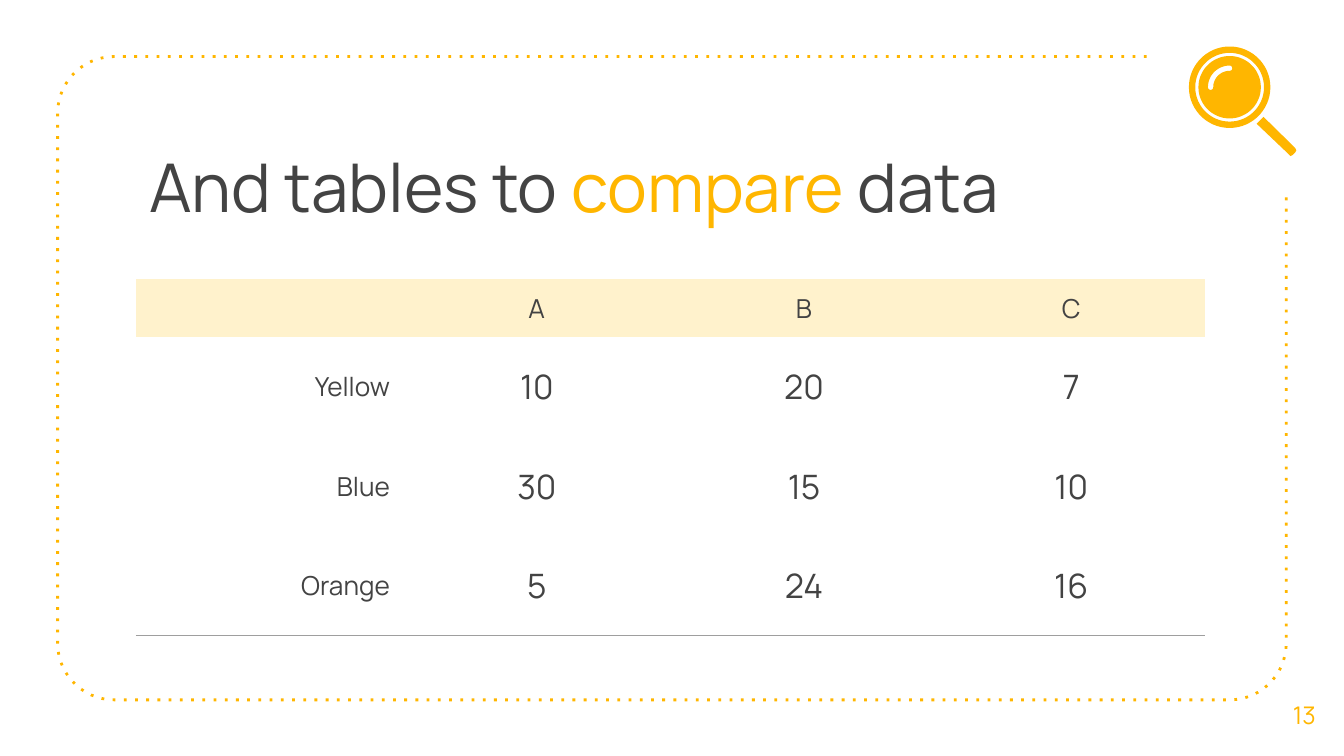
from dataclasses import dataclass
from math import cos, radians, sin

from lxml.etree import SubElement
from pptx import Presentation
from pptx.dml.color import RGBColor
from pptx.enum.dml import MSO_LINE
from pptx.enum.text import MSO_ANCHOR, PP_ALIGN
from pptx.oxml.ns import qn
from pptx.util import Cm, Pt

FONT = "Manrope"
COLORS = {"accent": "FFB600", "pale": "FFF2CC", "text": "434343", "rule": "9E9E9E"}

Point = tuple[float, float]
Contour = list[Point]


@dataclass
class Run:
    text: str
    color: str


@dataclass
class Label:
    left: float
    top: float
    width: float
    height: float
    runs: list[Run]
    size: float
    align: PP_ALIGN = PP_ALIGN.LEFT
    anchor: MSO_ANCHOR = MSO_ANCHOR.TOP


@dataclass
class Row:
    cells: list[str]
    height: float
    size: float
    fill: str | None = None
    rule: str | None = None


def rgb(name: str) -> RGBColor:
    return RGBColor.from_string(COLORS[name])


def arc(x: float, y: float, radius: float, start: int, end: int) -> Contour:
    steps = max(8, abs(end - start) // 6)
    angles = [radians(start + (end - start) * i / steps) for i in range(steps + 1)]
    return [(x + radius * cos(a), y + radius * sin(a)) for a in angles]


def add_outline(shapes, contours: list[Contour], close: bool = True):
    scaled = [[(Cm(x), Cm(y)) for x, y in contour] for contour in contours]
    builder = shapes.build_freeform(*scaled[0][0])
    for i, points in enumerate(scaled):
        if i:
            builder.move_to(*points[0])
        builder.add_line_segments(points[1:], close=close)
    sp = builder.convert_to_shape()
    sp.shadow.inherit = False
    return sp


def add_frame(shapes) -> None:
    left, right, top, bottom, radius = 1.09, 24.31, 1.07, 13.23, 1.07
    x1, x2 = left + radius, right - radius
    y1, y2 = top + radius, bottom - radius
    points = [
        (21.67, top),
        *arc(x1, y1, radius, 270, 180),
        *arc(x1, y2, radius, 180, 90),
        *arc(x2, y2, radius, 90, 0),
        (right, 3.71),
    ]
    sp = add_outline(shapes, [points], close=False)
    sp.fill.background()
    sp.line.color.rgb = rgb("accent")
    sp.line.width = Pt(1.5)
    sp.line.dash_style = MSO_LINE.ROUND_DOT
    sp._element.spPr.find(".//" + qn("a:prstDash")).set("val", "dot")


def add_magnifier(shapes) -> None:
    x, y = 23.24, 1.65
    glint = [
        *arc(x, y, 0.41, 180, 270),
        *arc(x, y - 0.36, 0.05, 270, 450),
        *arc(x, y, 0.31, 270, 180),
        *arc(x - 0.36, y, 0.05, 0, 180),
    ]
    handle = [
        (23.88, 2.21), (23.75, 2.34), (24.36, 2.92), (24.39, 2.95),
        (24.43, 2.93), (24.48, 2.88), (24.5, 2.84), (24.48, 2.8),
    ]
    parts = [
        [arc(x, y, 0.65, 0, 360), arc(x, y, 0.77, 0, 360)],
        [glint, arc(x, y, 0.59, 0, 360)],
        [handle],
    ]
    group = shapes.add_group_shape()
    for contours in parts:
        sp = add_outline(group.shapes, contours)
        sp.fill.solid()
        sp.fill.fore_color.rgb = rgb("accent")
        sp.line.fill.background()


def add_label(shapes, label: Label) -> None:
    sp = shapes.add_textbox(Cm(label.left), Cm(label.top), Cm(label.width), Cm(label.height))
    tf = sp.text_frame
    tf.word_wrap = True
    tf.vertical_anchor = label.anchor
    tf.margin_left = tf.margin_right = tf.margin_top = tf.margin_bottom = Cm(0.25)
    p = tf.paragraphs[0]
    p.alignment = label.align
    p.font.name = FONT
    p.font.size = Pt(label.size)
    for run in label.runs:
        r = p.add_run()
        r.text = run.text
        r.font.color.rgb = rgb(run.color)


def set_borders(cell, rule: str | None) -> None:
    tcPr = cell._tc.get_or_add_tcPr()
    for i, side in enumerate(("lnL", "lnR", "lnT", "lnB")):
        ln = SubElement(tcPr, qn(f"a:{side}"), w=str(Pt(0.75)))
        tcPr.insert(i, ln)
        if side == "lnB" and rule:
            fill = SubElement(ln, qn("a:solidFill"))
            SubElement(fill, qn("a:srgbClr"), val=COLORS[rule])
        else:
            SubElement(ln, qn("a:noFill"))


def add_grid(shapes, left: float, top: float, column: float, rows: list[Row]) -> None:
    count = len(rows[0].cells)
    height = sum(row.height for row in rows)
    frame = shapes.add_table(len(rows), count, Cm(left), Cm(top), Cm(column * count), Cm(height))
    table = frame.table
    table.first_row = table.horz_banding = False
    for i, row in enumerate(rows):
        table.rows[i].height = Cm(row.height)
        for j, text in enumerate(row.cells):
            cell = table.cell(i, j)
            cell.vertical_anchor = MSO_ANCHOR.MIDDLE
            cell.margin_left = cell.margin_right = Cm(0.25)
            cell.margin_top = cell.margin_bottom = Cm(0.18)
            if row.fill:
                cell.fill.solid()
                cell.fill.fore_color.rgb = rgb(row.fill)
            else:
                cell.fill.background()
            set_borders(cell, row.rule)
            p = cell.text_frame.paragraphs[0]
            p.alignment = PP_ALIGN.CENTER if j else PP_ALIGN.RIGHT
            p.font.name = FONT
            p.font.size = Pt(row.size if j else 14)
            p.font.color.rgb = rgb("text")
            if text:
                p.add_run().text = text


def main() -> None:
    prs = Presentation()
    prs.slide_width, prs.slide_height = Cm(25.4), Cm(14.29)
    s = prs.slides.add_slide(prs.slide_layouts[6])
    add_frame(s.shapes)
    title = [Run("And tables to ", "text"), Run("compare", "accent"), Run(" data", "text")]
    add_label(s.shapes, Label(2.57, 2.49, 19.08, 2.39, title, 36))
    add_grid(s.shapes, 2.57, 5.28, 5.05, [
        Row(["", "A", "B", "C"], 1.09, 14, fill="pale"),
        Row(["Yellow", "10", "20", "7"], 1.88, 18, rule="accent"),
        Row(["Blue", "30", "15", "10"], 1.88, 18, rule="accent"),
        Row(["Orange", "5", "24", "16"], 1.88, 18, rule="rule"),
    ])
    number = [Run("13", "accent")]
    add_label(s.shapes, Label(23.9, 12.75, 1.5, 1.52, number, 13, PP_ALIGN.CENTER, MSO_ANCHOR.MIDDLE))
    add_magnifier(s.shapes)
    prs.save("out.pptx")


if __name__ == "__main__":
    main()
